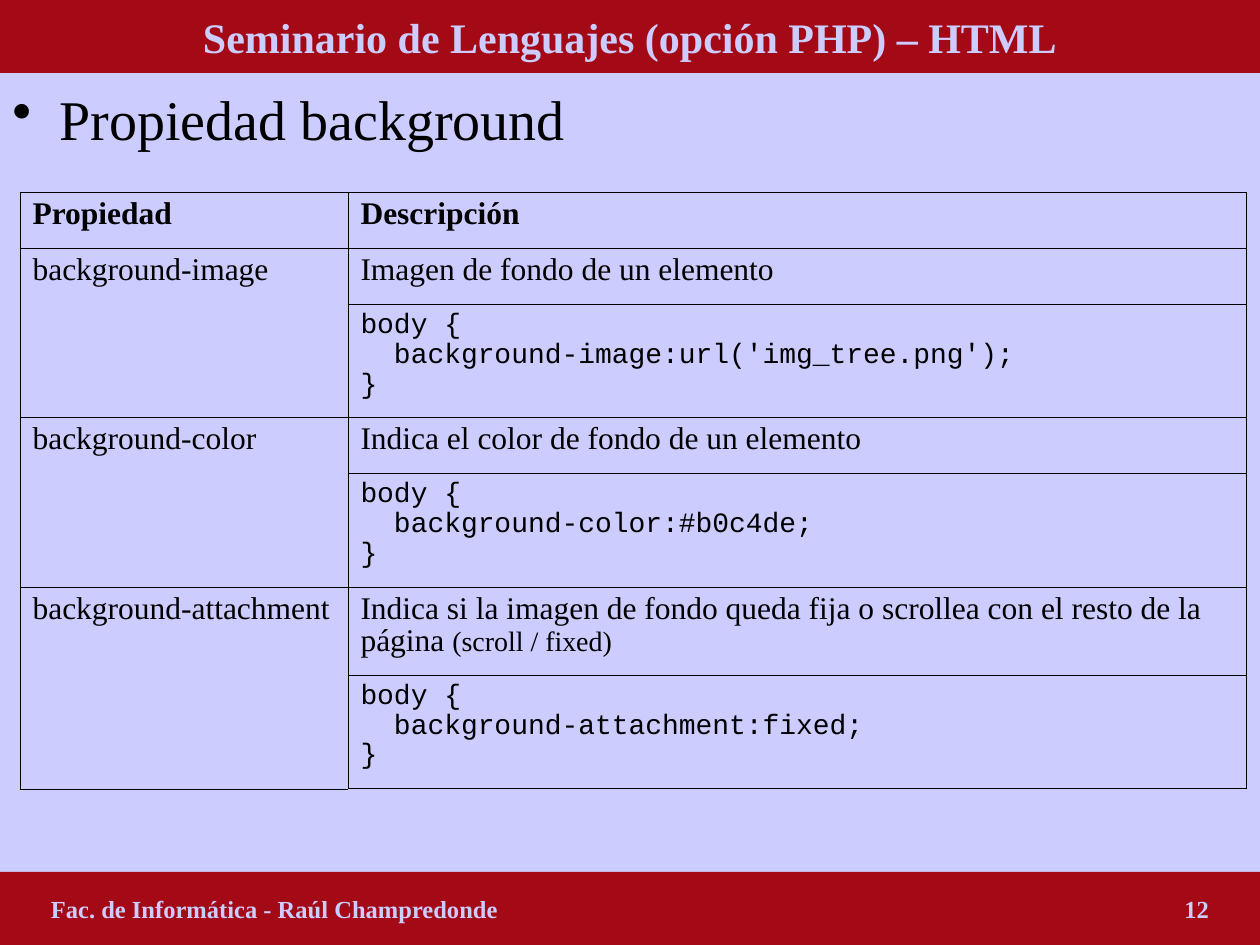
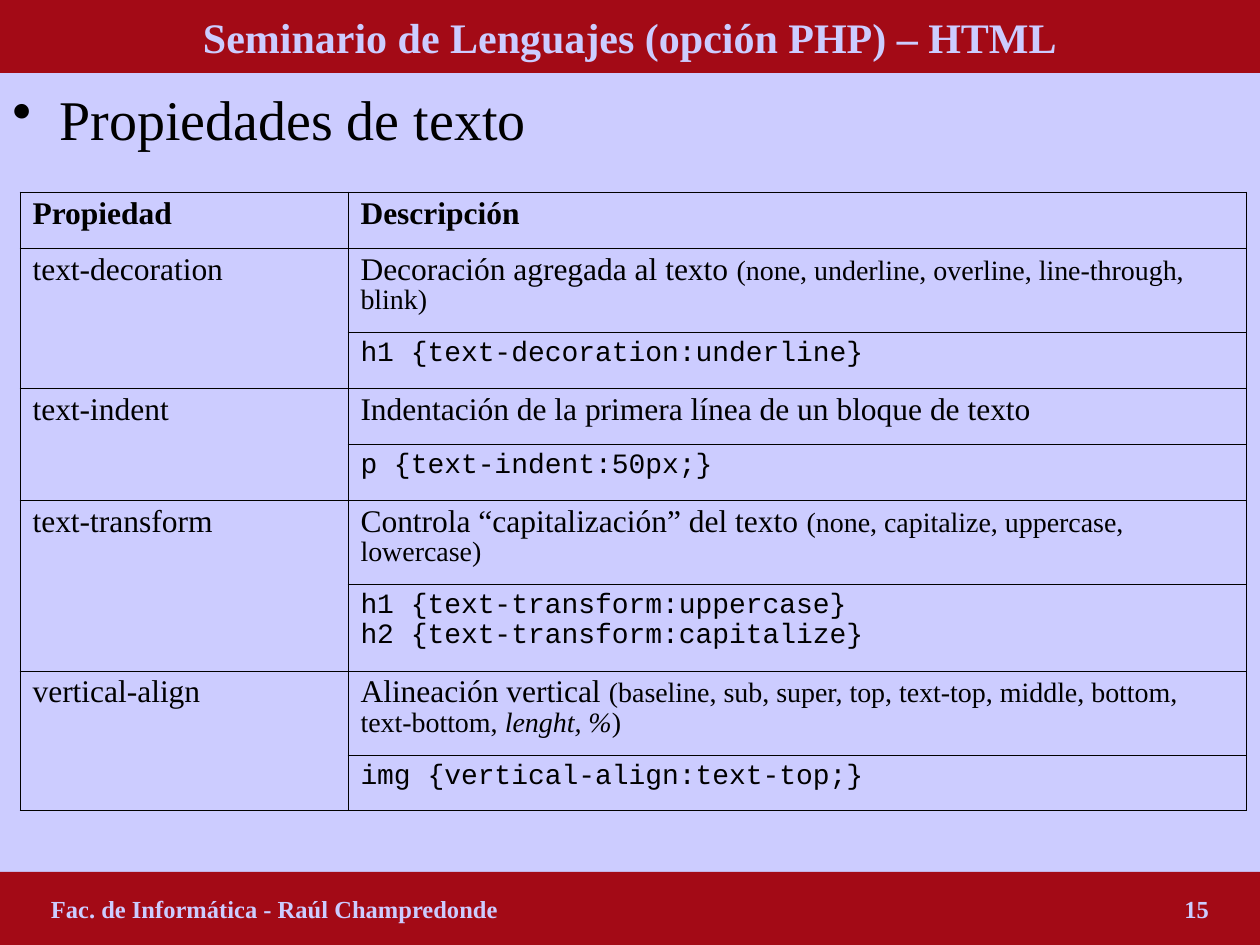
"""Build two seminar slides with tables of CSS background and text properties."""
from lxml import etree
from pptx import Presentation
from pptx import util as u
from pptx.dml.color import RGBColor
from pptx.enum import shapes, text
from pptx.oxml import ns

PX = 914400 // 126
W, H, BAND, INSET = 1260, 945, 73, 51
COL = {"back": "CCCCFF", "band": "A30A16", "ink": "000000"}
SERIF, MONO = "Times New Roman", "Courier New"
COLUMNS = (328, 898)
HEADER_H = 56
OUTER, INNER = 6350, 2920

SLIDES = [
    ("Propiedad background", "12", [
        ("background-image", 56, [("Imagen de fondo de un elemento", 18, False)],
         113, "body {\n  background-image:url('img_tree.png');\n}"),
        ("background-color", 56, [("Indica el color de fondo de un elemento", 18, False)],
         114, "body {\n  background-color:#b0c4de;\n}"),
        ("background-attachment", 88,
         [("Indica si la imagen de fondo queda fija o scrollea con el resto de la página ", 18, False),
          ("(scroll / fixed)", 16, False)],
         114, "body {\n  background-attachment:fixed;\n}"),
    ]),
    ("Propiedades de texto", "15", [
        ("text-decoration", 84,
         [("Decoración agregada al texto ", 18, False),
          ("(none, underline, overline, line-through, blink)", 16, False)],
         56, "h1 {text-decoration:underline}"),
        ("text-indent", 56,
         [("Indentación de la primera línea de un bloque de texto", 18, False)],
         56, "p {text-indent:50px;}"),
        ("text-transform", 84,
         [("Controla “capitalización” del texto ", 18, False),
          ("(none, capitalize, uppercase, lowercase)", 16, False)],
         87, "h1 {text-transform:uppercase}\nh2 {text-transform:capitalize}"),
        ("vertical-align", 84,
         [("Alineación vertical ", 18, False),
          ("(baseline, sub, super, top, text-top, middle, bottom, text-bottom, ", 16, False),
          ("lenght, %", 16, True), (")", 16, False)],
         56, "img {vertical-align:text-top;}"),
    ]),
]


def style(p, size, color="ink", bold=False, name=SERIF):
    """Set the font of a whole paragraph."""
    f = p.font
    f.size, f.bold, f.name = u.Pt(size), bold, name
    f.color.rgb = RGBColor.from_string(COL[color])


def add(parent, tag, **attrs):
    """Append a DrawingML element and return it."""
    return etree.SubElement(parent, ns.qn(tag), attrs)


prs = Presentation()
prs.slide_width, prs.slide_height = W * PX, H * PX

for title, number, properties in SLIDES:
    s = prs.slides.add_slide(prs.slide_layouts[6])
    s.background.fill.solid()
    s.background.fill.fore_color.rgb = RGBColor.from_string(COL["back"])

    sp = s.shapes.add_textbox(0, BAND * PX, W * PX, (H - 2 * BAND) * PX)
    tf = sp.text_frame
    tf.word_wrap = True
    tf.margin_top = 11 * PX
    p = tf.paragraphs[0]
    p.text = title
    pPr = p._p.get_or_add_pPr()
    pPr.set("marL", str(47 * PX))
    pPr.set("indent", str(-47 * PX))
    add(pPr, "a:buChar", char="•")
    style(p, 32)

    bands = [
        (0, "Seminario de Lenguajes (opción PHP) – HTML", 24, text.PP_ALIGN.CENTER),
        (H - BAND, f"Fac. de Informática - Raúl Champredonde\t{number}", 14, text.PP_ALIGN.LEFT),
    ]
    for top, label, size, align in bands:
        sp = s.shapes.add_shape(shapes.MSO_SHAPE.RECTANGLE, 0, top * PX, W * PX, BAND * PX)
        sp.shadow.inherit = False
        sp.fill.solid()
        sp.fill.fore_color.rgb = RGBColor.from_string(COL["band"])
        sp.line.fill.background()
        tf = sp.text_frame
        tf.word_wrap = True
        tf.vertical_anchor = text.MSO_ANCHOR.MIDDLE
        p = tf.paragraphs[0]
        p.text = label
        p.alignment = align
        if align == text.PP_ALIGN.LEFT:
            tf.margin_left = INSET * PX
            tabs = add(p._p.get_or_add_pPr(), "a:tabLst")
            add(tabs, "a:tab", pos=str((W - 2 * INSET) * PX), algn="r")
        style(p, size, "back", True)

    heights = [HEADER_H]
    for _, desc_h, _, code_h, _ in properties:
        heights += [desc_h, code_h]
    last = len(heights) - 1
    table = s.shapes.add_table(len(heights), 2, 20 * PX, 192 * PX,
                               sum(COLUMNS) * PX, sum(heights) * PX).table
    table.first_row = table.horz_banding = False
    for column, width in zip(table.columns, COLUMNS):
        column.width = width * PX
    for row, height in zip(table.rows, heights):
        row.height = height * PX

    for i in range(len(heights)):
        for j in range(2):
            cell = table.cell(i, j)
            tcPr = cell._tc.get_or_add_tcPr()
            edges = {"a:lnL": j == 0, "a:lnR": j == 1, "a:lnT": i == 0, "a:lnB": i == last}
            for tag, outside in edges.items():
                ln = add(tcPr, tag, w=str(OUTER if outside else INNER))
                add(add(ln, "a:solidFill"), "a:srgbClr", val=COL["ink"])
            cell.fill.background()
            cell.text_frame.paragraphs[0].line_spacing = 0.93

    for j, heading in enumerate(("Propiedad", "Descripción")):
        p = table.cell(0, j).text_frame.paragraphs[0]
        p.text = heading
        style(p, 18, bold=True)

    for k, (name, _, description, _, code) in enumerate(properties):
        i = 1 + 2 * k
        table.cell(i, 0).merge(table.cell(i + 1, 0))
        p = table.cell(i, 0).text_frame.paragraphs[0]
        p.text = name
        style(p, 18)
        p = table.cell(i, 1).text_frame.paragraphs[0]
        style(p, 18)
        for words, size, italic in description:
            r = p.add_run()
            r.text = words
            r.font.size, r.font.italic = u.Pt(size), italic
        p = table.cell(i + 1, 1).text_frame.paragraphs[0]
        p.text = code
        p.line_spacing = 0.94
        style(p, 16, name=MONO)

prs.save("out.pptx")
